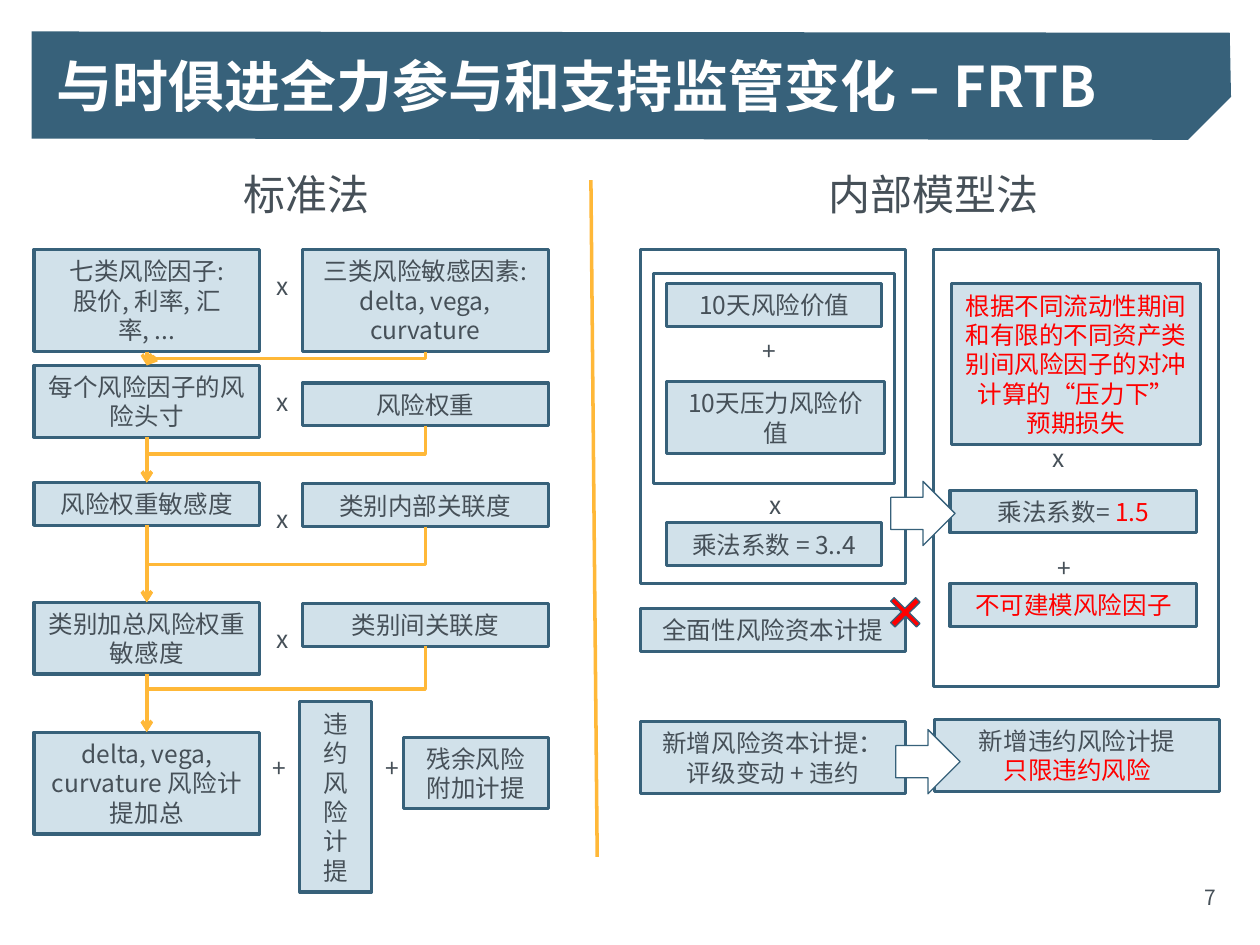
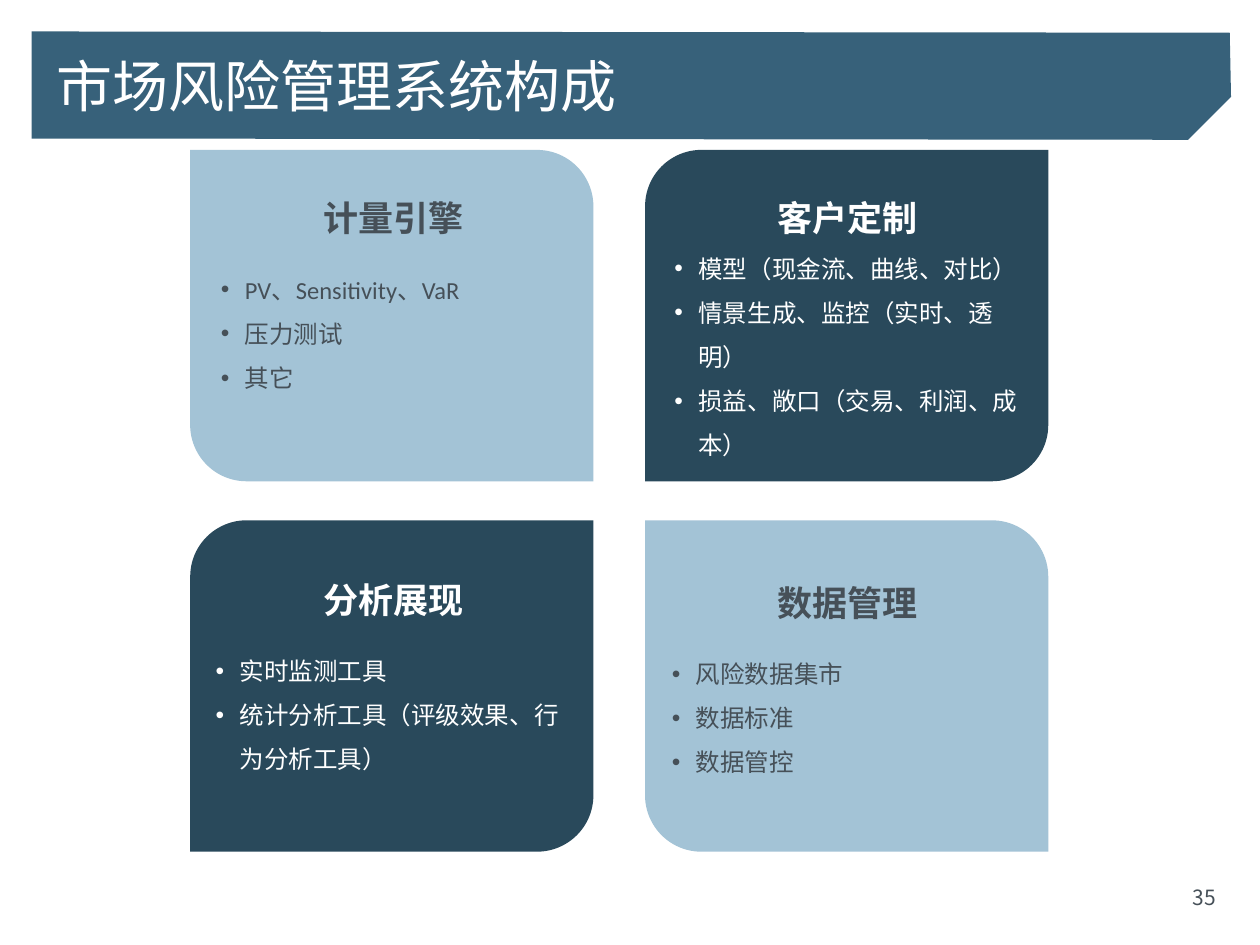
from dataclasses import dataclass
from itertools import pairwise, product

from lxml import etree
from pptx import Presentation
from pptx import util as u
from pptx.dml.color import RGBColor
from pptx.enum import shapes, text
from pptx.oxml.ns import qn


@dataclass(frozen=True)
class Theme:
    band: str = "37617A"
    pale: str = "D1E1EA"
    light: str = "A3C3D6"
    dark: str = "29495B"
    accent: str = "FFB838"
    alert: str = "FF0000"
    ink: str = "465058"
    white: str = "FFFFFF"
    font: str = "Noto Sans CJK SC"
    latin: str = "Calibri"
    title: int = 32
    heading: int = 24
    card: int = 20
    body: int = 14
    page: int = 12
    outline: float = 1.75
    thin: float = 0.75
    flow: float = 2


THEME = Theme()
WIDTH, HEIGHT = u.Inches(10), u.Inches(7.5)
UNIT = WIDTH // 100  # the slide is a grid of 100 columns by 75 rows
LINE = 3.4           # rows taken by a box with one line of text
TWO_LINES = 5.7
THREE_LINES = 8.1


def cells(*counts):
    """Turn columns and rows of the grid into lengths."""
    return [u.Emu(round(count * UNIT)) for count in counts]


def rgb(colour):
    return RGBColor.from_string(colour)


def style_run(run, size, colour=THEME.ink, bold=False, name=THEME.font):
    font = run.font
    font.size, font.bold, font.name = u.Pt(size), bold, name
    font.color.rgb = rgb(colour)
    east_asian = etree.SubElement(run._r.get_or_add_rPr(), qn("a:ea"))
    east_asian.set("typeface", THEME.font)


def fill_frame(frame, words, size, alert="", align=text.PP_ALIGN.CENTER):
    """Write the words, followed by an optional run in the alert colour."""
    frame.word_wrap = True
    frame.text = words
    for para in frame.paragraphs:
        para.alignment = align
        for run in para.runs:
            style_run(run, size)
    if alert:
        span = frame.paragraphs[-1].add_run()
        span.text = alert
        style_run(span, size, THEME.alert)


def add_figure(slide, kind, place, fill=None, outline=None, weight=THEME.outline):
    figure = slide.shapes.add_shape(kind, *cells(*place))
    figure.shadow.inherit = False
    if fill:
        figure.fill.solid()
        figure.fill.fore_color.rgb = rgb(fill)
    else:
        figure.fill.background()
    if outline:
        figure.line.color.rgb = rgb(outline)
        figure.line.width = u.Pt(weight)
    else:
        figure.line.fill.background()
    return figure


def add_box(slide, place, words, alert=""):
    box = add_figure(slide, shapes.MSO_SHAPE.RECTANGLE, place, THEME.pale, THEME.band)
    fill_frame(box.text_frame, words, THEME.body, alert)
    box.text_frame.auto_size = text.MSO_AUTO_SIZE.SHAPE_TO_FIT_TEXT
    return box


def add_outline(slide, place):
    add_figure(slide, shapes.MSO_SHAPE.RECTANGLE, place, outline=THEME.band)


def add_label(slide, place, words, size=THEME.body, align=text.PP_ALIGN.CENTER):
    label = slide.shapes.add_textbox(*cells(*place))
    fill_frame(label.text_frame, words, size, align=align)
    return label


def style_connector(connector, arrow=True):
    connector.line.color.rgb = rgb(THEME.accent)
    connector.line.width = u.Pt(THEME.flow)
    properties = connector._element.spPr
    if arrow:
        etree.SubElement(properties.find(qn("a:ln")), qn("a:tailEnd")).set("type", "arrow")
    etree.SubElement(properties, qn("a:effectLst"))


def connect_down(slide, upper, lower):
    connector = slide.shapes.add_connector(shapes.MSO_CONNECTOR.STRAIGHT, 0, 0, 0, 0)
    connector.begin_connect(upper, 2)
    connector.end_connect(lower, 0)
    style_connector(connector)


def connect_bent(slide, factor, lower):
    """Run from under the factor, down and left, to the top of the lower box."""
    start_x, start_y = factor.left + factor.width // 2, factor.top + factor.height
    end_x, end_y = lower.left + lower.width // 2, lower.top
    across, down = start_x - end_x, end_y - start_y
    left = (start_x + end_x - down) // 2
    top = (start_y + end_y - across) // 2
    connector = slide.shapes.add_connector(
        shapes.MSO_CONNECTOR.ELBOW, left, top, left + down, top + across)
    connector._element.spPr.find(qn("a:xfrm")).set("rot", "5400000")
    style_connector(connector)


def add_band(deck, slide):
    """Draw the title band and move it behind everything on the master."""
    corners = [(2.5, 2.5), (97.6, 2.6), (97.7, 7.7), (94.3, 11.1), (2.5, 11)]
    start, *others = [cells(*corner) for corner in corners]
    builder = slide.shapes.build_freeform(*start)
    builder.add_line_segments(others, close=True)
    band = builder.convert_to_shape()
    band.shadow.inherit = False
    band.fill.solid()
    band.fill.fore_color.rgb = rgb(THEME.band)
    band.line.fill.background()
    band._element.nvSpPr.cNvPr.set("id", "99")
    deck.slide_master.shapes[0]._element.addprevious(band._element)


def place_placeholder(holder, place):
    holder.left, holder.top, holder.width, holder.height = cells(*place)
    holder.text_frame.auto_size = text.MSO_AUTO_SIZE.NONE
    holder.text_frame.word_wrap = True


def add_slide(deck, layout, title, number, bold=False):
    slide = deck.slides.add_slide(deck.slide_layouts.get_by_name(layout))
    holder = slide.shapes.title
    place_placeholder(holder, (2.5, 2.5, 95.1, 8.5))
    frame = holder.text_frame
    frame.text = title
    frame.margin_left = u.Inches(0.2)
    frame.vertical_anchor = text.MSO_ANCHOR.MIDDLE
    frame.paragraphs[0].alignment = text.PP_ALIGN.LEFT
    style_run(frame.paragraphs[0].runs[0], THEME.title, THEME.white, bold)
    page = add_label(slide, (77.3, 69.2, 20.2, 4), number, THEME.page, text.PP_ALIGN.RIGHT)
    page.text_frame.vertical_anchor = text.MSO_ANCHOR.MIDDLE
    return slide


def draw_standard_approach(slide):
    add_label(slide, (6.3, 12.9, 36, 5), "标准法", THEME.heading)
    # top, height, text of the step; top, height, text of its factor; top of the sign
    rows = [
        (19.8, THREE_LINES, "七类风险因子:\v股价, 利率, 汇率, ...",
         19.8, THREE_LINES, "三类风险敏感因素:\vdelta, vega, curvature", 21),
        (29, TWO_LINES, "每个风险因子的风险头寸", 30.4, LINE, "风险权重", 30.2),
        (38.3, LINE, "风险权重敏感度", 38.4, LINE, "类别内部关联度", 39.5),
        (47.8, TWO_LINES, "类别加总风险权重敏感度", 47.9, LINE, "类别间关联度", 49),
    ]
    steps, factors = [], []
    for top, height, step, factor_top, factor_height, factor, sign_top in rows:
        steps.append(add_box(slide, (2.7, top, 17.9, height), step))
        factors.append(add_box(slide, (24, factor_top, 19.5, factor_height), factor))
        add_label(slide, (20.7, sign_top, 3.5, LINE), "x")
    steps.append(add_box(slide, (2.7, 58.1, 17.9, THREE_LINES),
                         "delta, vega, curvature 风险计提加总"))
    add_box(slide, (23.8, 55.7, 5.7, 15.1), "违约风险计提")
    add_box(slide, (32, 58.5, 11.5, TWO_LINES), "残余风险附加计提")
    for left in (20.5, 29.4):
        add_label(slide, (left, 59.3, 3.4, LINE), "+")
    for (upper, lower), factor in zip(pairwise(steps), factors):
        connect_down(slide, upper, lower)
        connect_bent(slide, factor, lower)


def draw_internal_models(slide):
    add_label(slide, (54.6, 12.9, 38.9, 5), "内部模型法", THEME.heading)

    add_box(slide, (52.9, 22.5, 17.1, LINE), "10天风险价值")
    add_box(slide, (52.9, 30.3, 17.3, TWO_LINES), "10天压力风险价值")
    add_box(slide, (52.9, 41.5, 17.1, LINE), "乘法系数 = 3..4")
    add_box(slide, (50.8, 48.3, 21.1, LINE), "全面性风险资本计提")
    add_box(slide, (50.8, 57.3, 21.1, TWO_LINES), "新增风险资本计提：\n评级变动 + 违约")
    add_outline(slide, (51.9, 21.7, 19.1, 16.7))
    add_outline(slide, (50.8, 19.8, 21.1, 26.5))

    add_box(slide, (75.5, 22.5, 19.8, 12.8), "",
            "根据不同流动性期间和有限的不同资产类别间风险因子的对冲计算的“压力下” 预期损失")
    add_box(slide, (75.4, 38.9, 19.6, LINE), "乘法系数= ", "1.5")
    add_box(slide, (75.4, 46.3, 19.6, LINE), "", "不可建模风险因子")
    add_box(slide, (74.2, 57.1, 22.6, TWO_LINES), "新增违约风险计提\n", "只限违约风险")
    add_outline(slide, (74.1, 19.8, 22.6, 34.7))

    signs = [(50.3, 26.2, "+"), (50.8, 38.4, "x"), (73.2, 34.7, "x"), (73.7, 43.4, "+")]
    for left, top, sign in signs:
        add_label(slide, (left, top, 21.6, LINE), sign)
    for left, top in ((70.7, 38.2), (71.1, 57.9)):
        add_figure(slide, shapes.MSO_SHAPE.RIGHT_ARROW, (left, top, 5.1, 5.1),
                   THEME.white, THEME.band, THEME.thin)
    cross = add_figure(slide, shapes.MSO_SHAPE.CROSS, (70.4, 47.2, 2.9, 2.8),
                       THEME.alert, THEME.band, THEME.thin)
    cross.adjustments[0] = 0.43
    cross.rotation = 45


def style_bullet(para, symbol=None, indent=0.0):
    properties = para._p.get_or_add_pPr()
    properties.set("marL", str(u.Inches(indent)))
    properties.set("indent", str(-u.Inches(indent)))
    bullet = etree.SubElement(properties, qn("a:buChar" if symbol else "a:buNone"))
    if symbol:
        bullet.set("char", symbol)


def fill_card(holder, heading, items, colour, gap):
    """Write a centred heading and, after the gap in points, its bulleted list."""
    frame = holder.text_frame
    frame.margin_left = frame.margin_right = frame.margin_top = frame.margin_bottom = 0
    frame.vertical_anchor = text.MSO_ANCHOR.TOP
    frame.text = "\n".join([heading, *items])
    for index, para in enumerate(frame.paragraphs):
        is_heading = index == 0
        style_bullet(para, *(() if is_heading else ("•", 0.19)))
        para.alignment = text.PP_ALIGN.CENTER if is_heading else text.PP_ALIGN.LEFT
        para.line_spacing = 1.0 if is_heading else 1.5
        para.space_before = u.Pt(gap if index == 1 else 0)
        style_run(para.runs[0], THEME.card if is_heading else THEME.body,
                  colour, is_heading, THEME.latin)


def draw_components(slide):
    # heading, list, gap before the list, height of the text area
    cards = [
        ("计量引擎", ["PV、Sensitivity、VaR", "压力测试", "其它"], 12, 22.6),
        ("客户定制", ["模型（现金流、曲线、对比）", "情景生成、监控（实时、透明）",
                  "损益、敞口（交易、利润、成本）"], 0, 22.6),
        ("分析展现", ["实时监测工具", "统计分析工具（评级效果、行为分析工具）"], 12, 14.1),
        ("数据管理", ["风险数据集市", "数据标准", "数据管控"], 12, 18.6),
    ]
    bodies = list(slide.placeholders)[1:]
    for (row, column), body, card in zip(product(range(2), repeat=2), bodies, cards):
        heading, items, gap, height = card
        is_light = row == column
        tile = add_figure(slide, shapes.MSO_SHAPE.ROUND_2_DIAG_RECTANGLE,
                          (15.1 + 36.1 * column, 11.9 + 29.4 * row, 32, 26.3),
                          THEME.light if is_light else THEME.dark)
        tile.adjustments[0], tile.adjustments[1] = (0, 0.17) if is_light else (0.17, 0)
        slide.shapes[0]._element.addprevious(tile._element)
        inset = 0.05 * height
        place_placeholder(body, (16.4 + 36 * column + inset, 14.5 + 30.7 * row + inset,
                                 29.7 - 2 * inset, height - 2 * inset))
        fill_card(body, heading, items, THEME.ink if is_light else THEME.white, gap)


def main():
    deck = Presentation()
    deck.slide_width, deck.slide_height = WIDTH, HEIGHT

    approaches = add_slide(deck, "Title Only", "与时俱进全力参与和支持监管变化 – FRTB", "7", bold=True)
    add_band(deck, approaches)
    draw_internal_models(approaches)
    divider = approaches.shapes.add_connector(
        shapes.MSO_CONNECTOR.STRAIGHT, *cells(46.9, 14.3, 47.4, 68))
    style_connector(divider, arrow=False)
    draw_standard_approach(approaches)

    components = add_slide(deck, "Comparison", "市场风险管理系统构成", "35")
    draw_components(components)

    deck.save("out.pptx")


if __name__ == "__main__":
    main()
